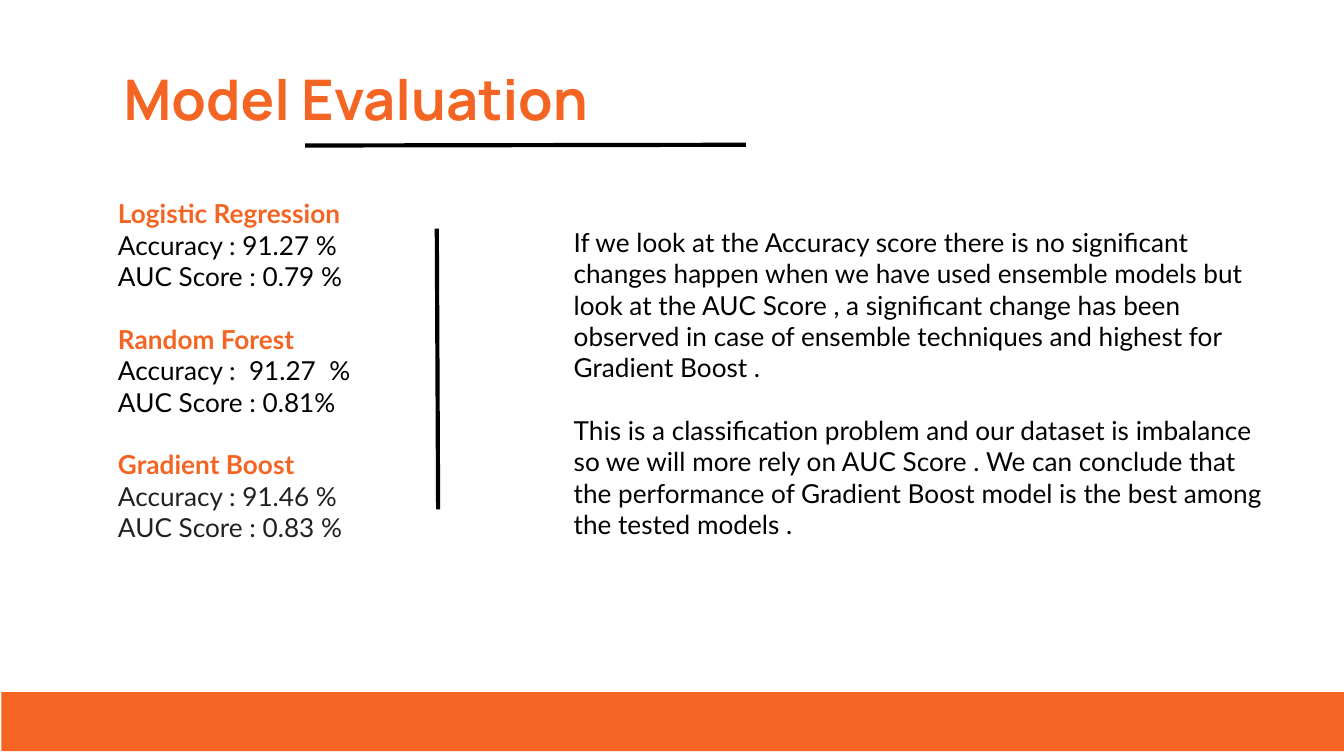
"""Build the Model Evaluation slide: scores on the left, conclusions on the right."""
import pptx
import pptx.dml.color
import pptx.enum.shapes
import pptx.enum.text
import pptx.oxml
import pptx.util

ORANGE, BLACK, GREY, WHITE = "F46524", "000000", "202124", "FFFFFF"
LINE_HEIGHT = 16.8

prs = pptx.Presentation()
prs.slide_width = pptx.util.Inches(10)
prs.slide_height = prs.slide_width * 9 // 16
s = prs.slides.add_slide(prs.slide_layouts[5])


def share(x, y, w, h):
    return [int(v * side / 100) for v, side in
            zip((x, y, w, h), (prs.slide_width, prs.slide_height) * 2)]


def paint(fmt, color):
    if hasattr(fmt, "solid"):
        fmt.solid()
        fmt = fmt.fore_color
    fmt.rgb = pptx.dml.color.RGBColor.from_string(color)


title = s.shapes.title
title.left, title.top, title.width, title.height = share(8.2, 6.8, 93.2, 12.44)
title.text_frame.text = "Model Evaluation"

scores = s.shapes.add_shape(
    pptx.enum.shapes.MSO_SHAPE.RECTANGLE, *share(7.8, 24.38, 21.4, 58.13))
band = s.shapes.add_shape(
    pptx.enum.shapes.MSO_SHAPE.RECTANGLE, *share(0.1, 91.56, 100, 7.82))
for sp, color in ((scores, WHITE), (band, ORANGE)):
    sp.shadow.inherit = False
    paint(sp.fill, color)
    sp.line.fill.background()

for ends in ((22.7, 19.25, 55.5, 19.15), (32.5, 30.25, 32.6, 67.4)):
    rule = s.shapes.add_connector(
        pptx.enum.shapes.MSO_CONNECTOR.STRAIGHT, *share(*ends))
    paint(rule.line.fill, BLACK)
    rule.line.width = pptx.util.Pt(2.25)
    rule.element.spPr.append(pptx.oxml.parse_xml(
        '<a:effectLst xmlns:a="http://schemas.openxmlformats.org/drawingml/2006/main"/>'))

notes = s.shapes.add_textbox(*share(41.7, 28.15, 54.1, 45.51))

models = [
    ("Logistic Regression", "Accuracy : 91.27 %", "AUC Score : 0.79 %", BLACK),
    ("Random Forest", "Accuracy :  91.27  %", "AUC Score : 0.81%", BLACK),
    ("Gradient Boost", "Accuracy : 91.46 %", "AUC Score : 0.83 %", GREY),
]
score_lines = []
for name, accuracy, auc, color in models:
    score_lines += [(name, ORANGE, True), (accuracy, color, False), (auc, color, False)]

conclusions = [
    ("If we look at the Accuracy score there is no significant changes happen when we "
     "have used ensemble models but look at the AUC Score , a significant change has been "
     "observed in case of ensemble techniques and highest for Gradient Boost .", BLACK, False),
    ("This is a classification problem and our dataset is imbalance so we will more rely "
     "on AUC Score . We can conclude that the performance of Gradient Boost model is the "
     "best among the tested models .", BLACK, False),
]

blocks = [
    (title, [("Model Evaluation", ORANGE, True)], "Manrope", 30, 1),
    (scores, score_lines, "Lato", 14, 3),
    (notes, conclusions, "Lato", 14, 1),
]
for sp, lines, font, size, group in blocks:
    tf = sp.text_frame
    tf.word_wrap = True
    tf.auto_size = pptx.enum.text.MSO_AUTO_SIZE.NONE
    tf.vertical_anchor = pptx.enum.text.MSO_ANCHOR.TOP
    tf.margin_left = tf.margin_right = pptx.util.Inches(0.1)
    tf.margin_top = tf.margin_bottom = pptx.util.Inches(0.1)
    tf.text = "\n".join(text for text, _, _ in lines)
    for i, (p, (_, color, bold)) in enumerate(zip(tf.paragraphs, lines)):
        p.alignment = pptx.enum.text.PP_ALIGN.LEFT
        p.space_before = pptx.util.Pt(LINE_HEIGHT if i and i % group == 0 else 0)
        r = p.runs[0]
        r.font.name, r.font.size, r.font.bold = font, pptx.util.Pt(size), bold
        paint(r.font.fill, color)

prs.save("out.pptx")
